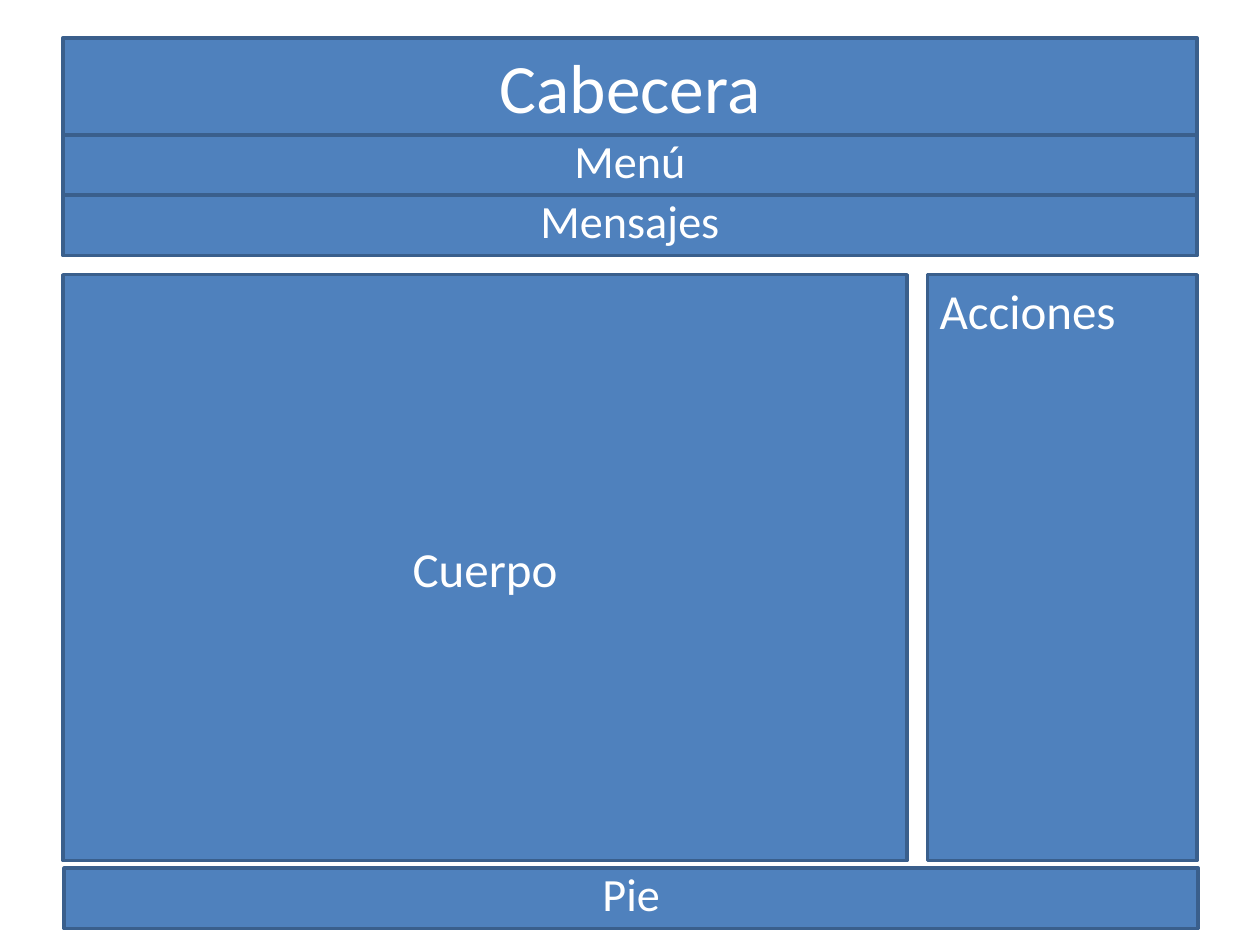
import pptx
import pptx.util
import pptx.dml.color
import pptx.enum.shapes
import pptx.enum.text

Inches = pptx.util.Inches
Pt = pptx.util.Pt
Color = pptx.dml.color.RGBColor.from_string
Align = pptx.enum.text.PP_ALIGN
Anchor = pptx.enum.text.MSO_ANCHOR

THEME = {
    "font": "Calibri", "text": "FFFFFF", "fill": "4F81BD", "line": "3A5F8C",
    "line_width": 2, "header": 39.6, "panel": 28, "bar": 26.4,
}
LEFT, WIDTH = 0.5, 9
HEADER_TOP, HEADER_HEIGHT, BAR_HEIGHT = 0.3, 0.77, 0.48
PANEL_TOP, PANEL_HEIGHT = 2.18, 4.65
BODY_WIDTH, ACTIONS_WIDTH = 6.7, 2.14
FOOTER_LEFT, FOOTER_TOP = 0.51, 6.89

HEADER = "Cabecera"
BODY = "Cuerpo"
ACTIONS = "Acciones"
BARS = ["Menú", "Mensajes"]
FOOTER = "Pie"


def add_region(slide, text, box, role, align=Align.CENTER, anchor=Anchor.MIDDLE, spacing=1.0):
    """Add one labelled region of the page layout."""
    shape = slide.shapes.add_shape(
        pptx.enum.shapes.MSO_SHAPE.RECTANGLE, *[Inches(length) for length in box])
    shape.shadow.inherit = False
    shape.fill.solid()
    shape.fill.fore_color.rgb = Color(THEME["fill"])
    shape.line.color.rgb = Color(THEME["line"])
    shape.line.width = Pt(THEME["line_width"])
    text_frame = shape.text_frame
    text_frame.word_wrap = True
    text_frame.vertical_anchor = anchor
    text_frame.text = text
    paragraph = text_frame.paragraphs[0]
    paragraph.alignment = align
    paragraph.line_spacing = spacing
    font = paragraph.runs[0].font
    font.name = THEME["font"]
    font.size = Pt(THEME[role])
    font.color.rgb = Color(THEME["text"])


def main():
    """Build the page layout slide and save it."""
    presentation = pptx.Presentation()
    presentation.slide_width = Inches(10)
    presentation.slide_height = Inches(7.5)
    slide = presentation.slides.add_slide(presentation.slide_layouts[6])

    add_region(slide, HEADER, (LEFT, HEADER_TOP, WIDTH, HEADER_HEIGHT), "header")
    add_region(slide, BODY, (LEFT, PANEL_TOP, BODY_WIDTH, PANEL_HEIGHT), "panel")
    actions_left = LEFT + WIDTH - ACTIONS_WIDTH
    add_region(slide, ACTIONS, (actions_left, PANEL_TOP, ACTIONS_WIDTH, PANEL_HEIGHT),
               "panel", Align.LEFT, Anchor.TOP)

    bars_top = HEADER_TOP + HEADER_HEIGHT
    bars = [(text, LEFT, bars_top + index * BAR_HEIGHT) for index, text in enumerate(BARS)]
    for text, left, top in bars + [(FOOTER, FOOTER_LEFT, FOOTER_TOP)]:
        add_region(slide, text, (left, top, WIDTH, BAR_HEIGHT), "bar", spacing=0.8)

    presentation.save("out.pptx")


if __name__ == "__main__":
    main()
